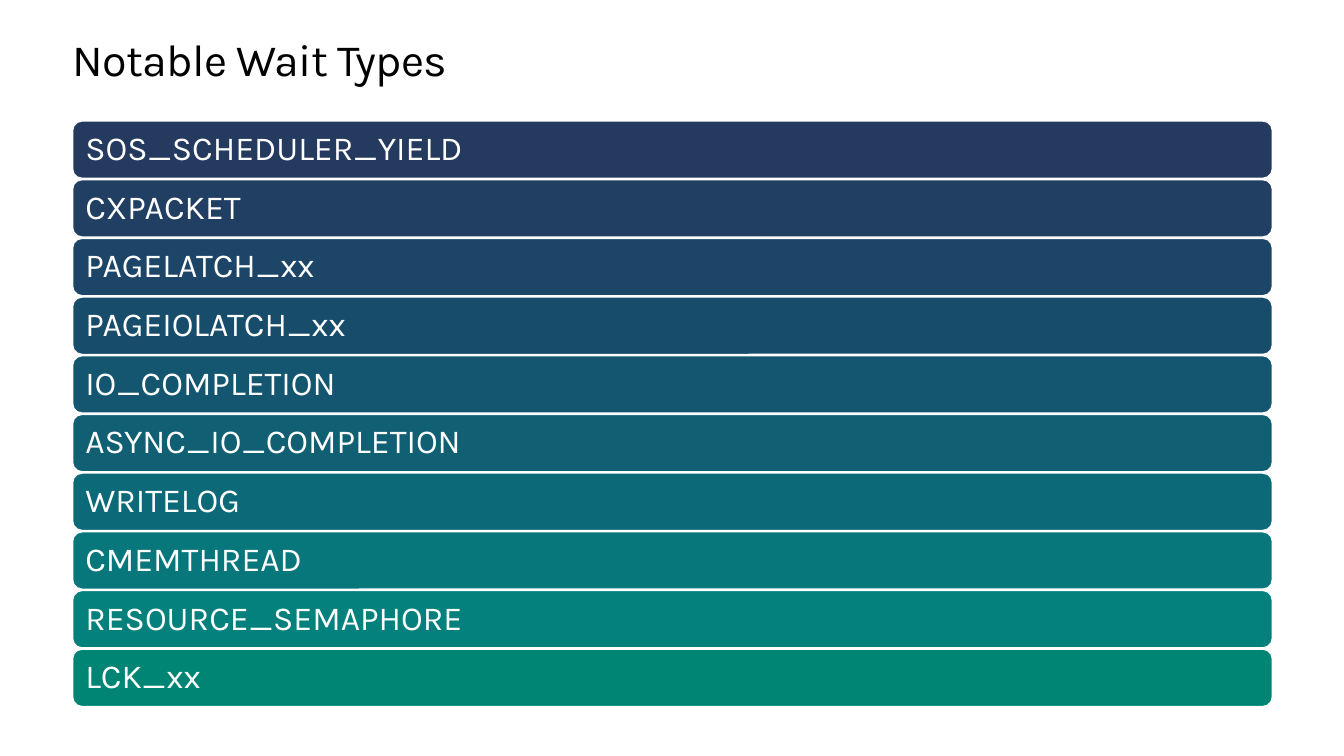
from pptx import Presentation
from pptx.dml.color import RGBColor
from pptx.enum.shapes import MSO_SHAPE
from pptx.enum.text import MSO_ANCHOR, PP_ALIGN
from pptx.util import Inches, Pt

ROUNDED = MSO_SHAPE.ROUNDED_RECTANGLE
MIDDLE = MSO_ANCHOR.MIDDLE
LEFT_ALIGNED = PP_ALIGN.LEFT

TITLE = "Notable Wait Types"
WAIT_TYPES = [
    ("SOS_SCHEDULER_YIELD", "243A5E"),
    ("CXPACKET", "203F62"),
    ("PAGELATCH_xx", "1C4567"),
    ("PAGEIOLATCH_xx", "184C6B"),
    ("IO_COMPLETION", "14556F"),
    ("ASYNC_IO_COMPLETION", "105F73"),
    ("WRITELOG", "0C6A78"),
    ("CMEMTHREAD", "08777C"),
    ("RESOURCE_SEMAPHORE", "04817C"),
    ("LCK_xx", "008575"),
]
FONT = "Karla"
WHITE = "FFFFFF"
BLACK = "000000"

LEFT, WIDTH = 0.72, 11.9
TITLE_TOP, TITLE_HEIGHT = 0.35, 0.5
FIRST_TOP, LAST_TOP, BAR_HEIGHT = 1.2, 6.44, 0.57
BAR_STEP = (LAST_TOP - FIRST_TOP) / (len(WAIT_TYPES) - 1)


def color(value):
    return RGBColor.from_string(value)


def write_text(shape, text, size, text_color, line_spacing, side_inset):
    frame = shape.text_frame
    frame.word_wrap = True
    frame.margin_left = frame.margin_right = Inches(side_inset)
    frame.margin_top = frame.margin_bottom = 0
    paragraph = frame.paragraphs[0]
    paragraph.alignment = LEFT_ALIGNED
    paragraph.line_spacing = line_spacing
    run = paragraph.add_run()
    run.text = text
    run.font.name = FONT
    run.font.size = Pt(size)
    run.font.color.rgb = color(text_color)
    return run


def add_title(slide):
    box = slide.shapes.add_textbox(
        Inches(LEFT), Inches(TITLE_TOP), Inches(WIDTH), Inches(TITLE_HEIGHT))
    run = write_text(box, TITLE, 32, BLACK, Pt(36.2), 0)
    run.font._element.set("spc", "-50")


def add_bar(slide, index, name, fill):
    bar = slide.shapes.add_shape(
        ROUNDED, Inches(LEFT), Inches(FIRST_TOP + index * BAR_STEP),
        Inches(WIDTH), Inches(BAR_HEIGHT))
    bar.shadow.inherit = False
    bar.fill.solid()
    bar.fill.fore_color.rgb = color(fill)
    bar.line.color.rgb = color(WHITE)
    bar.line.width = Pt(1)
    bar.text_frame.vertical_anchor = MIDDLE
    write_text(bar, name, 24, WHITE, 0.9, 0.1)


def main():
    presentation = Presentation()
    presentation.slide_width = Inches(13.33)
    presentation.slide_height = Inches(7.5)
    slide = presentation.slides.add_slide(presentation.slide_layouts[6])
    add_title(slide)
    for index, (name, fill) in enumerate(WAIT_TYPES):
        add_bar(slide, index, name, fill)
    presentation.save("out.pptx")


if __name__ == "__main__":
    main()
